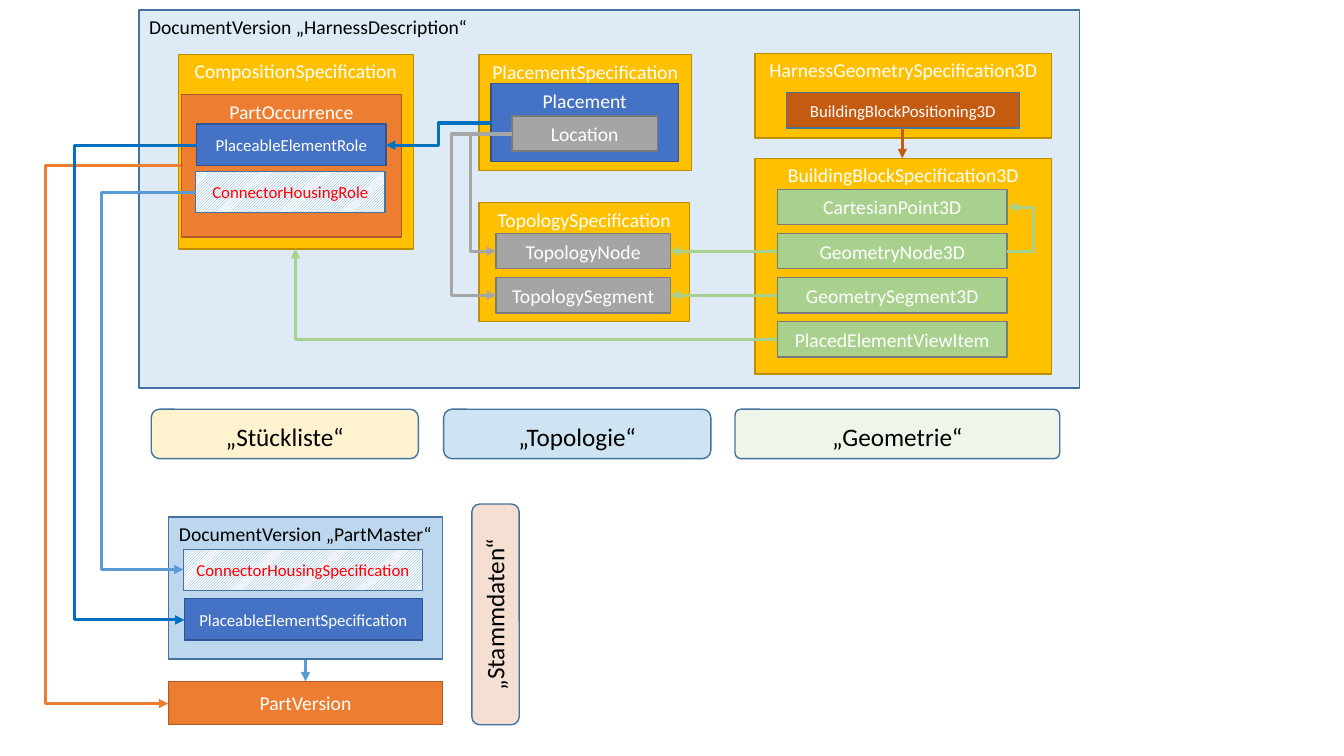
"""Build the slide that maps harness documents to part master data."""
from dataclasses import dataclass
from typing import Optional

from lxml.etree import SubElement
from pptx import Presentation
from pptx.dml.color import RGBColor
from pptx.enum.dml import MSO_PATTERN
from pptx.enum.shapes import MSO_CONNECTOR, MSO_SHAPE
from pptx.enum.text import MSO_ANCHOR, PP_ALIGN
from pptx.oxml.ns import qn
from pptx.util import Inches, Pt

COLORS = {
    "white": "FFFFFF", "black": "000000", "red": "FF0000",
    "pale": "DEEBF7", "sky": "BDD7EE", "navy": "43739E",
    "gold": "FFC000", "gold_edge": "BD8E00",
    "orange": "ED7D31", "orange_edge": "AF5C24", "rust": "C55A11",
    "blue": "4472C4", "blue_edge": "325491",
    "gray": "A5A5A5", "gray_edge": "7A7A7A", "gray_link": "A6A6A6",
    "green": "A9D18E", "light_blue": "5B9BD5", "deep_blue": "0070C0",
}


@dataclass
class Box:
    """A labelled rectangle in inches."""
    text: str
    left: float
    top: float
    width: float
    height: float
    fill: str
    edge: str = "navy"
    font: str = "white"
    size: int = 14
    anchor: MSO_ANCHOR = MSO_ANCHOR.MIDDLE
    align: PP_ALIGN = PP_ALIGN.CENTER
    hatched: bool = False
    alpha: Optional[int] = None
    radius: Optional[float] = None
    rotation: int = 0


@dataclass
class Link:
    """An arrow that runs straight, bends at a column, or turns one corner."""
    start: tuple[float, float]
    end: tuple[float, float]
    color: str
    column: Optional[float] = None
    corner: bool = False


def color(name: str) -> RGBColor:
    """Look up a colour by name."""
    return RGBColor.from_string(COLORS[name])


def apply(target: object, values: dict) -> None:
    """Set each attribute named in the values."""
    for name, value in values.items():
        setattr(target, name, value)


def draw_box(page, box: Box) -> None:
    """Draw one box with its label."""
    kind = MSO_SHAPE.RECTANGLE if box.radius is None else MSO_SHAPE.ROUNDED_RECTANGLE
    shape = page.shapes.add_shape(
        kind, *map(Inches, (box.left, box.top, box.width, box.height)))
    apply(shape, {"rotation": box.rotation})
    apply(shape.shadow, {"inherit": False})
    if box.radius is not None:
        shape.adjustments[0] = box.radius
    if box.hatched:
        shape.fill.patterned()
        apply(shape.fill, {"pattern": MSO_PATTERN.LIGHT_UPWARD_DIAGONAL})
        apply(shape.fill.fore_color, {"rgb": color(box.fill)})
        apply(shape.fill.back_color, {"rgb": color("white")})
    else:
        shape.fill.solid()
        apply(shape.fill.fore_color, {"rgb": color(box.fill)})
    if box.alpha is not None:
        tone = shape.fill._xPr.find(qn("a:solidFill"))[0]
        SubElement(tone, qn("a:alpha"), val=str(box.alpha * 1000))
    apply(shape.line, {"width": Pt(1)})
    apply(shape.line.color, {"rgb": color(box.edge)})
    side = Inches(0.1 if box.align == PP_ALIGN.LEFT else 0.05)
    apply(shape.text_frame, {"word_wrap": True, "vertical_anchor": box.anchor,
                             "margin_left": side, "margin_right": side})
    para = shape.text_frame.paragraphs[0]
    apply(para, {"alignment": box.align})
    span = para.add_run()
    apply(span, {"text": box.text})
    apply(span.font, {"name": "Calibri", "size": Pt(box.size)})
    apply(span.font.color, {"rgb": color(box.font)})


def draw_link(page, link: Link) -> None:
    """Draw one arrow."""
    bent = link.corner or link.column is not None
    kind = MSO_CONNECTOR.ELBOW if bent else MSO_CONNECTOR.STRAIGHT
    connector = page.shapes.add_connector(kind, *map(Inches, link.start + link.end))
    apply(connector.line, {"width": Pt(2.25)})
    apply(connector.line.color, {"rgb": color(link.color)})
    properties = connector._element.spPr
    geometry = properties.find(qn("a:prstGeom"))
    if link.corner:
        geometry.set("prst", "bentConnector2")
    elif link.column is not None:
        share = (link.column - link.start[0]) / (link.end[0] - link.start[0])
        guides = geometry.find(qn("a:avLst"))
        SubElement(guides, qn("a:gd"), name="adj1", fmla=f"val {round(share * 100000)}")
    SubElement(properties.find(qn("a:ln")), qn("a:tailEnd"), type="triangle")
    SubElement(properties, qn("a:effectLst"))


def panel(text: str, left: float, top: float, width: float, height: float,
          fill: str = "gold", edge: str = "gold_edge", **extra) -> Box:
    """Describe a container with its heading at the top."""
    return Box(text, left, top, width, height, fill, edge,
               anchor=MSO_ANCHOR.TOP, **extra)


def element(text: str, left: float, top: float, width: float) -> Box:
    """Describe a blue placeable element."""
    return Box(text, left, top, width, 0.41, "blue", "blue_edge", size=12)


def housing(text: str, left: float, top: float, width: float) -> Box:
    """Describe a hatched connector housing."""
    return Box(text, left, top, width, 0.41, "light_blue", font="red", size=12,
               hatched=True)


def legend(text: str, left: float, width: float, fill: str, radius: float = 0.167) -> Box:
    """Describe a rounded legend below the harness document."""
    return Box(text, left, 4.06, width, 0.49, fill, font="black", size=18,
               anchor=MSO_ANCHOR.BOTTOM, alpha=19, radius=radius)


ROW_TOPS = [1.88 + 0.437 * row for row in range(4)]
ROW_HEIGHT = 0.35
ROW_MIDDLES = [top + ROW_HEIGHT / 2 for top in ROW_TOPS]
GEOMETRY_NAMES = ["CartesianPoint3D", "GeometryNode3D", "GeometrySegment3D",
                  "PlacedElementViewItem"]
TOPOLOGY_NAMES = ["TopologyNode", "TopologySegment"]

BOXES = [
    panel("DocumentVersion „HarnessDescription“", 1.38, 0.1, 9.33, 3.75, "pale", "navy",
          font="black", align=PP_ALIGN.LEFT),
    panel("CompositionSpecification", 1.77, 0.54, 2.33, 1.93),
    panel("PartOccurrence", 1.8, 0.94, 2.18, 1.41, "orange", "orange_edge"),
    Box("PartVersion", 1.67, 6.76, 2.72, 0.43, "orange", "orange_edge"),
    panel("DocumentVersion „PartMaster“", 1.67, 5.13, 2.72, 1.41, "sky", "navy",
          font="black"),
    housing("ConnectorHousingRole", 1.94, 1.7, 1.88),
    element("PlaceableElementRole", 1.95, 1.23, 1.88),
    housing("ConnectorHousingSpecification", 1.82, 5.45, 2.37),
    element("PlaceableElementSpecification", 1.83, 5.94, 2.36),
    panel("PlacementSpecification", 4.75, 0.54, 2.11, 1.15),
    panel("Placement", 4.87, 0.83, 1.86, 0.77, "blue", "blue_edge"),
    Box("Location", 5.08, 1.15, 1.44, ROW_HEIGHT, "gray", "gray_edge"),
    panel("TopologySpecification", 4.75, 2.01, 2.09, 1.18),
    *(Box(name, 4.92, top, 1.73, ROW_HEIGHT, "gray", "gray_edge")
      for name, top in zip(TOPOLOGY_NAMES, ROW_TOPS[1:])),
    panel("BuildingBlockSpecification3D", 7.49, 1.57, 2.94, 2.14),
    *(Box(name, 7.71, top, 2.28, ROW_HEIGHT, "green", "gray_edge")
      for name, top in zip(GEOMETRY_NAMES, ROW_TOPS)),
    panel("HarnessGeometrySpecification3D", 7.49, 0.53, 2.94, 0.84),
    Box("BuildingBlockPositioning3D", 7.8, 0.92, 2.31, ROW_HEIGHT, "rust", size=12),
    legend("„Stückliste“", 1.5, 2.65, "gold"),
    legend("„Topologie“", 4.4, 2.65, "deep_blue"),
    legend("„Geometrie“", 7.29, 3.22, "green", 0.117),
    Box("„Stammdaten“", 3.82, 5.86, 2.19, 0.47, "rust", font="black", size=18,
        anchor=MSO_ANCHOR.TOP, alpha=19, radius=0.167, rotation=270),
]

POINT, NODE, SEGMENT, VIEW_ITEM = ROW_MIDDLES
LINKS = [
    Link((3.03, 6.55), (3.03, 6.76), "light_blue"),
    Link((1.8, 1.64), (1.67, 6.98), "orange", 0.45),
    Link((1.94, 1.91), (1.82, 5.65), "light_blue", 1.01),
    Link((1.95, 1.44), (1.83, 6.15), "deep_blue", 0.74),
    Link((4.87, 1.22), (3.83, 1.44), "deep_blue", 4.35),
    Link((5.08, 1.33), (4.92, NODE), "gray_link", 4.67),
    Link((5.08, 1.33), (4.92, SEGMENT), "gray_link", 4.48),
    Link((7.71, VIEW_ITEM), (2.93, 2.47), "green", corner=True),
    Link((9.99, NODE), (10, POINT), "green", 10.25),
    Link((7.71, NODE), (6.65, NODE), "green"),
    Link((7.71, SEGMENT), (6.65, SEGMENT), "green"),
    Link((8.95, 1.27), (8.95, 1.57), "rust"),
]


def main() -> None:
    """Build and save the deck."""
    deck = Presentation()
    apply(deck, {"slide_width": Inches(13.33), "slide_height": Inches(7.5)})
    page = deck.slides.add_slide(deck.slide_layouts[6])
    for box in BOXES:
        draw_box(page, box)
    for link in LINKS:
        draw_link(page, link)
    deck.save("out.pptx")


main()
